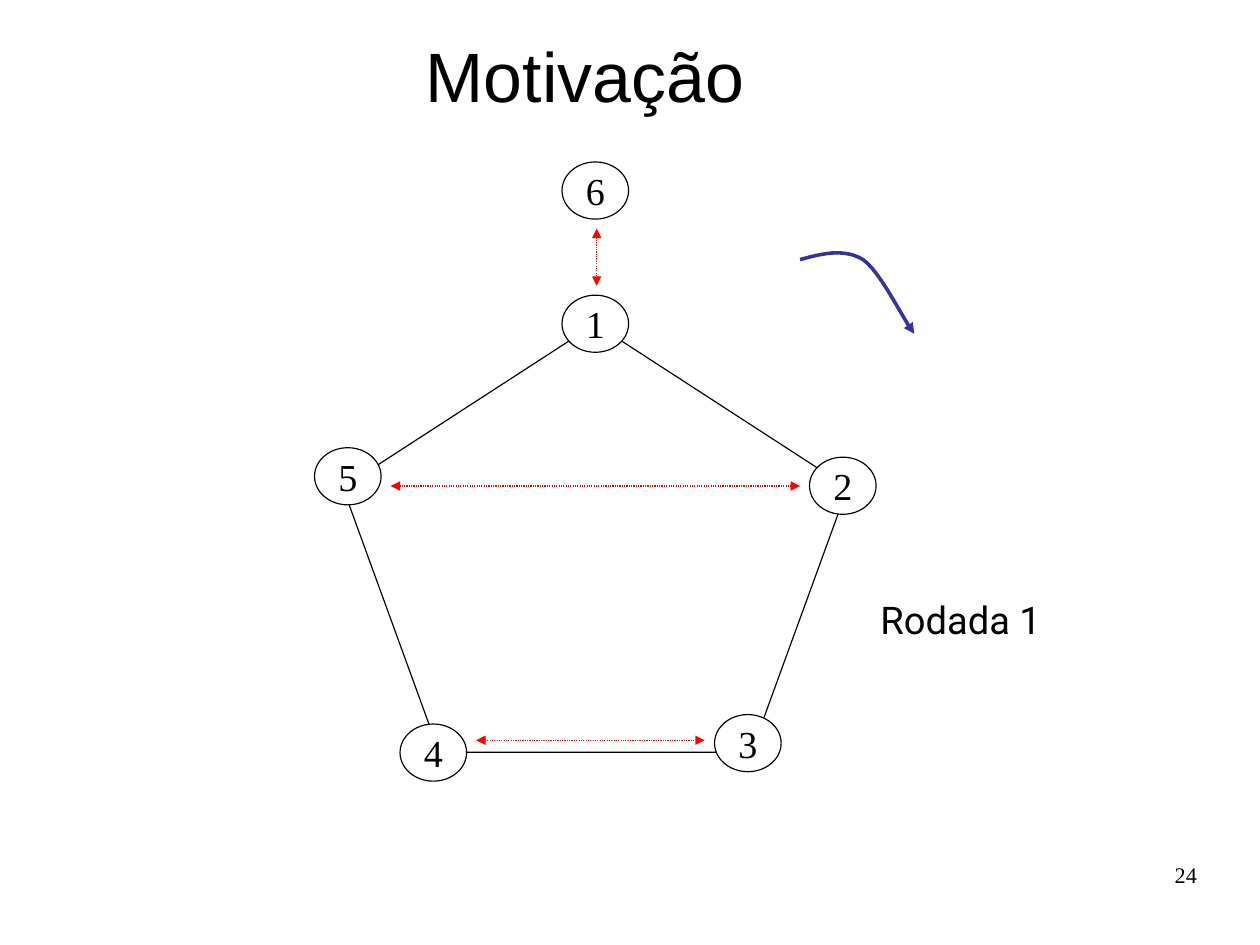
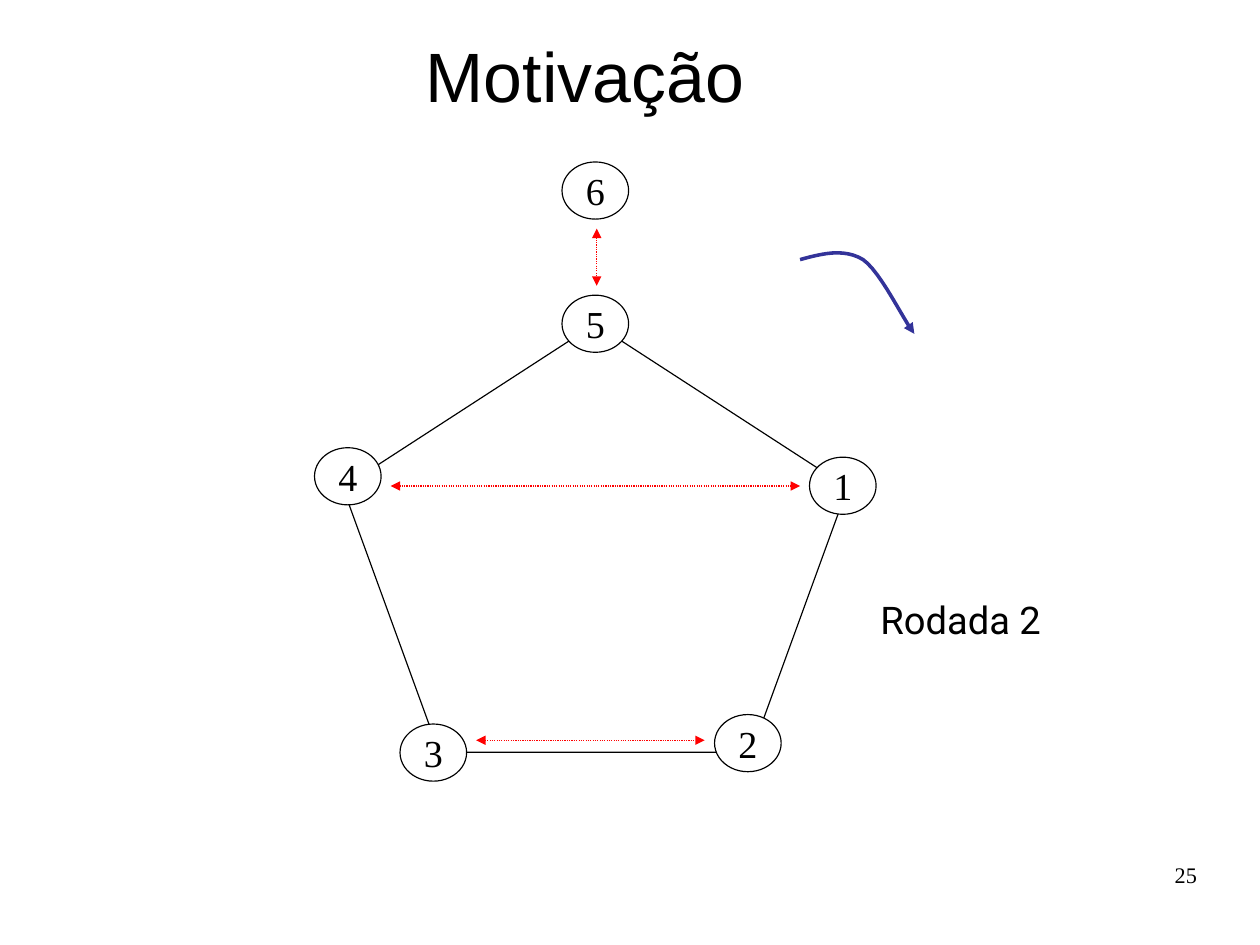
from lxml import etree
from pptx import Presentation
from pptx.dml.color import RGBColor
from pptx.enum.dml import MSO_LINE
from pptx.enum.shapes import MSO_CONNECTOR, MSO_SHAPE
from pptx.enum.text import MSO_ANCHOR, MSO_AUTO_SIZE, PP_ALIGN
from pptx.oxml.ns import qn
from pptx.util import Cm, Pt

CENTER, RIGHT = PP_ALIGN.CENTER, PP_ALIGN.RIGHT
TOP, MIDDLE = MSO_ANCHOR.TOP, MSO_ANCHOR.MIDDLE
NO_AUTOSIZE = MSO_AUTO_SIZE.NONE
ELLIPSE, PENTAGON = MSO_SHAPE.OVAL, MSO_SHAPE.REGULAR_PENTAGON
STRAIGHT, DOTTED = MSO_CONNECTOR.STRAIGHT, MSO_LINE.ROUND_DOT

BLACK, WHITE, RED, BLUE = "000000", "FFFFFF", "FF0000", "333399"
SANS, SERIF, LABEL_FONT = "Arial", "Times New Roman", "Roboto"
TITLE_ONLY = 5
FIRST_PAGE = 24
ROUNDS = 2

NODE_SIZE = (1.48, 1.27)
FIXED_NODE = (12.49, 3.6)
RING_NODES = [(12.49, 6.56), (17.99, 10.16), (15.88, 15.88), (8.89, 16.09), (6.99, 9.95)]
MATCHES = [
    ((8.68, 10.8), (17.78, 10.8)),
    ((10.58, 16.45), (15.66, 16.45)),
    ((13.26, 5.08), (13.26, 6.35)),
]
ROTATION_CURVE = [
    ((17.78, 5.77), (18.26, 5.64), (18.75, 5.51), (19.18, 5.77)),
    ((19.18, 5.77), (19.58, 6.05), (20.09, 7.14), (20.32, 7.42)),
]
CURVE_STEPS = 12


def color(hex_string):
    """Return the colour for a hex string."""
    return RGBColor.from_string(hex_string)


def box(left, top, width, height):
    """Return a position and size given in centimetres."""
    return Cm(left), Cm(top), Cm(width), Cm(height)


def write_text(shape, text, font=SERIF, size=24, align=CENTER, anchor=MIDDLE,
               wrap=False, insets=(0.25, 0.13)):
    """Write one formatted paragraph into a shape."""
    frame = shape.text_frame
    frame.auto_size = NO_AUTOSIZE
    frame.word_wrap = wrap
    frame.vertical_anchor = anchor
    frame.margin_left = frame.margin_right = Cm(insets[0])
    frame.margin_top = frame.margin_bottom = Cm(insets[1])
    paragraph = frame.paragraphs[0]
    paragraph.text = text
    paragraph.alignment = align
    paragraph.font.name = font
    paragraph.font.size = Pt(size)
    paragraph.font.color.rgb = color(BLACK)


def format_line(line, hex_string, width=0.75, arrow_ends=()):
    """Set line colour, width and triangular arrowheads."""
    line.color.rgb = color(hex_string)
    line.width = Pt(width)
    if arrow_ends:
        line.dash_style = line.dash_style
    properties = line._get_or_add_ln()
    for end in arrow_ends:
        etree.SubElement(properties, qn(f"a:{end}"), type="triangle")


def add_outline(slide, kind, place, fill=None):
    """Add a preset shape with a thin black outline."""
    shape = slide.shapes.add_shape(kind, *box(*place))
    shape.shadow.inherit = False
    if fill:
        shape.fill.solid()
        shape.fill.fore_color.rgb = color(fill)
    else:
        shape.fill.background()
    format_line(shape.line, BLACK)
    return shape


def add_node(slide, position, number):
    """Add a numbered team node."""
    node = add_outline(slide, ELLIPSE, (*position, *NODE_SIZE), WHITE)
    write_text(node, str(number))


def add_match(slide, start, end):
    """Add a dotted double arrow between two teams."""
    connector = slide.shapes.add_connector(
        STRAIGHT, *(Cm(value) for value in (*start, *end)))
    connector.line.dash_style = DOTTED
    format_line(connector.line, RED, arrow_ends=("headEnd", "tailEnd"))
    etree.SubElement(connector._element.spPr, qn("a:effectLst"))


def curve_point(controls, t):
    """Return the point of a cubic curve at parameter t, in EMU."""
    weights = ((1 - t) ** 3, 3 * t * (1 - t) ** 2, 3 * t ** 2 * (1 - t), t ** 3)
    return tuple(Cm(sum(weight * point[axis] for weight, point in zip(weights, controls)))
                 for axis in (0, 1))


def add_rotation_arrow(slide):
    """Add the curved arrow showing the direction of rotation."""
    points = [curve_point(controls, step / CURVE_STEPS)
              for controls in ROTATION_CURVE for step in range(1, CURVE_STEPS + 1)]
    builder = slide.shapes.build_freeform(*curve_point(ROTATION_CURVE[0], 0))
    builder.add_line_segments(points, close=False)
    arrow = builder.convert_to_shape()
    arrow.shadow.inherit = False
    arrow.fill.background()
    format_line(arrow.line, BLUE, 2.25, ("tailEnd",))


def add_text_box(slide, place, text, **text_format):
    """Add a text box with formatted text."""
    write_text(slide.shapes.add_textbox(*box(*place)), text, anchor=TOP, **text_format)


def add_title(slide, text):
    """Place and format the title placeholder."""
    title = slide.shapes.title
    title.left, title.top, title.width, title.height = box(4.01, 0.66, 17.98, 2.01)
    write_text(title, text, font=SANS, size=44, wrap=True)


def add_round_slide(presentation, shift):
    """Add the slide of one round, with the ring turned by shift places."""
    slide = presentation.slides.add_slide(presentation.slide_layouts[TITLE_ONLY])
    add_title(slide, "Motivação")
    add_outline(slide, PENTAGON, (7.62, 7.2, 11.22, 9.52))
    count = len(RING_NODES)
    for place, position in enumerate(RING_NODES):
        add_node(slide, position, (place - shift) % count + 1)
    add_node(slide, FIXED_NODE, count + 1)
    for start, end in MATCHES:
        add_match(slide, start, end)
    add_rotation_arrow(slide)
    add_text_box(slide, (19.23, 13.13, 4.24, 1.42), f"Rodada {shift + 1}", font=LABEL_FONT)
    add_text_box(slide, (20.07, 19.13, 6.53, 1.45), str(FIRST_PAGE + shift),
                 size=14, align=RIGHT, wrap=True, insets=(0, 0))


def main():
    """Build and save the presentation."""
    presentation = Presentation()
    presentation.slide_width, presentation.slide_height = Cm(28), Cm(21)
    for shift in range(ROUNDS):
        add_round_slide(presentation, shift)
    presentation.save("out.pptx")


if __name__ == "__main__":
    main()
